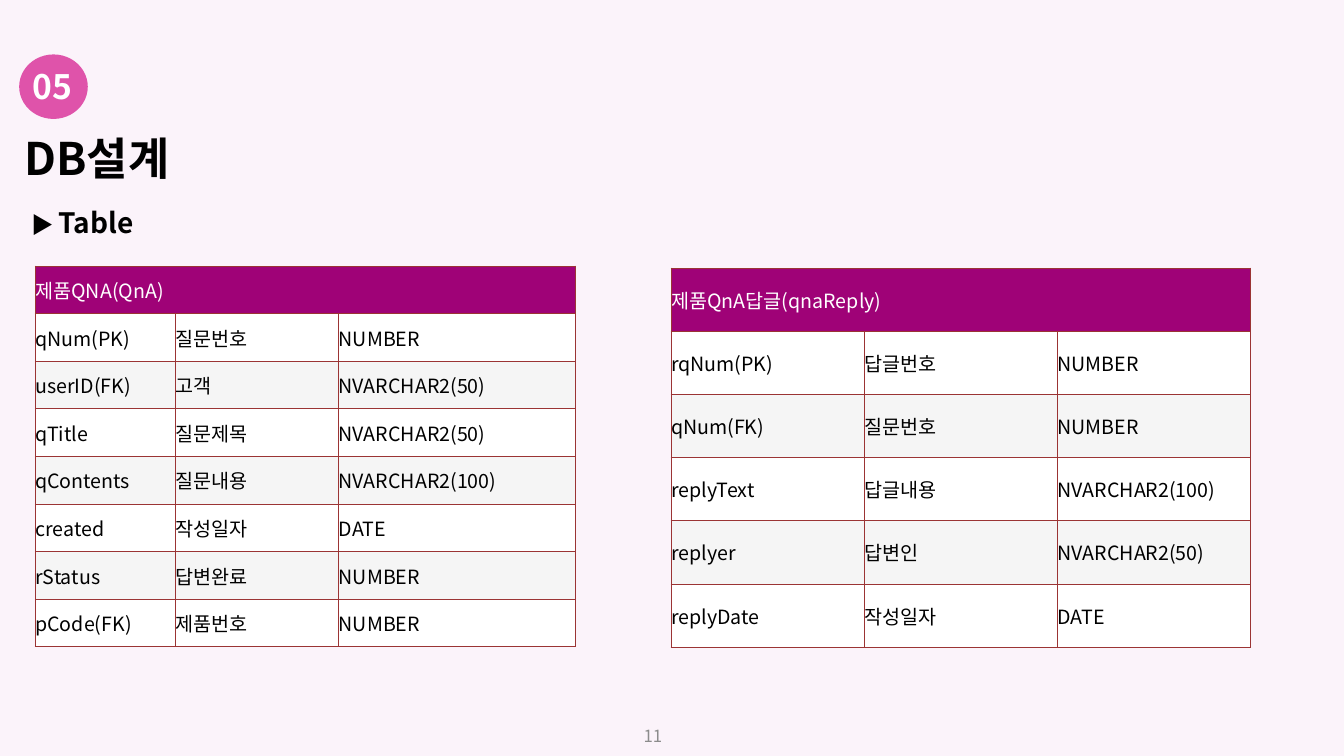
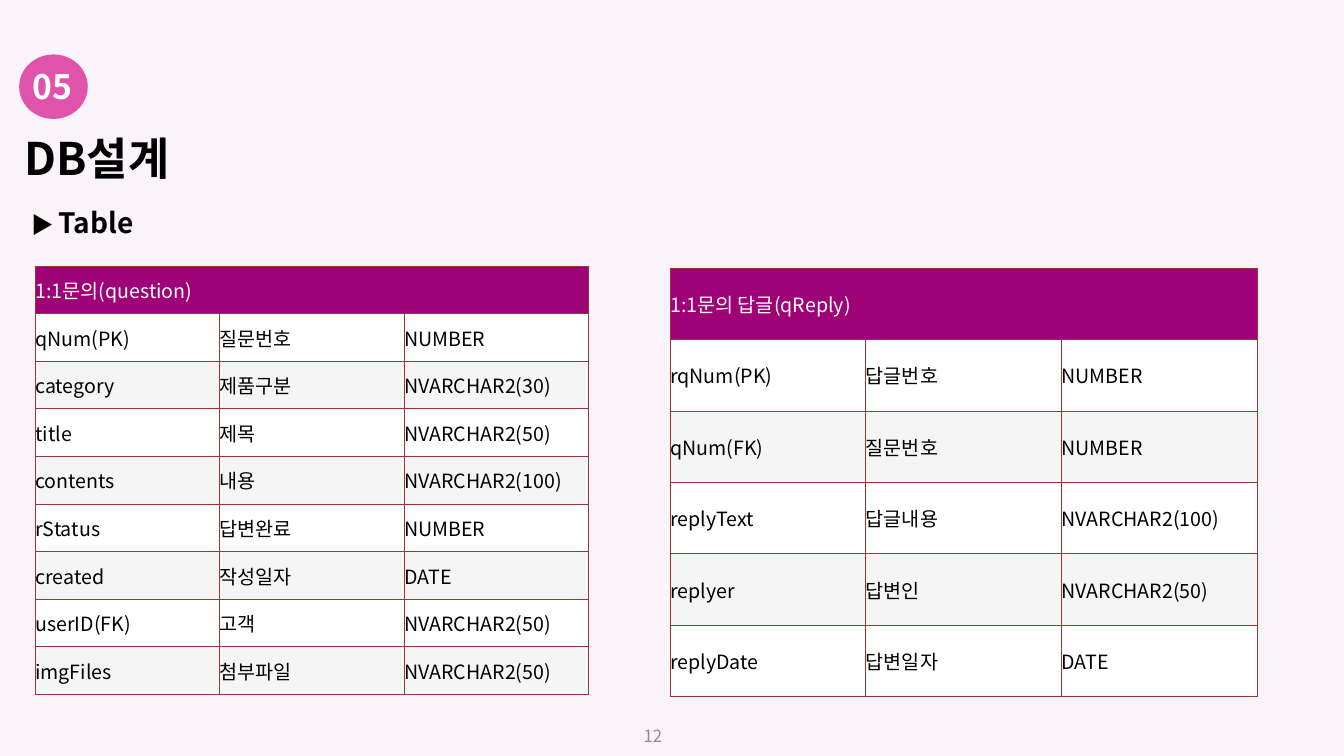
import pptx
import pptx.util
import pptx.dml.color
import pptx.enum.shapes
import pptx.enum.text
import pptx.oxml.ns
from lxml import etree

Pt = pptx.util.Pt
ALIGN = pptx.enum.text.PP_ALIGN
ANCHOR = pptx.enum.text.MSO_ANCHOR
FIT = pptx.enum.text.MSO_AUTO_SIZE
FONT = "Noto Sans CJK KR"
HUES = {
    "back": "FBF3FA", "badge": "DF53AA", "head": "9F0277", "edge": "9B3434",
    "odd": "FFFFFF", "even": "F5F5F5", "ink": "000000", "light": "FFFFFF",
    "page": "8C8C8C",
}

# Each table: box (left, top), column widths, row height, heading, rows
PAGES = [
    (11, [
        ((25.2, 190.1), (100, 116.8, 169.2), 34, "제품QNA(QnA)", [
            ("qNum(PK)", "질문번호", "NUMBER"),
            ("userID(FK)", "고객", "NVARCHAR2(50)"),
            ("qTitle", "질문제목", "NVARCHAR2(50)"),
            ("qContents", "질문내용", "NVARCHAR2(100)"),
            ("created", "작성일자", "DATE"),
            ("rStatus", "답변완료", "NUMBER"),
            ("pCode(FK)", "제품번호", "NUMBER"),
        ]),
        ((479.3, 191.5), (138.1,) * 3, 45.15, "제품QnA답글(qnaReply)", [
            ("rqNum(PK)", "답글번호", "NUMBER"),
            ("qNum(FK)", "질문번호", "NUMBER"),
            ("replyText", "답글내용", "NVARCHAR2(100)"),
            ("replyer", "답변인", "NVARCHAR2(50)"),
            ("replyDate", "작성일자", "DATE"),
        ]),
    ]),
    (12, [
        ((25.2, 190.1), (131.8,) * 3, 34, "1:1문의(question)", [
            ("qNum(PK)", "질문번호", "NUMBER"),
            ("category", "제품구분", "NVARCHAR2(30)"),
            ("title", "제목", "NVARCHAR2(50)"),
            ("contents", "내용", "NVARCHAR2(100)"),
            ("rStatus", "답변완료", "NUMBER"),
            ("created", "작성일자", "DATE"),
            ("userID(FK)", "고객", "NVARCHAR2(50)"),
            ("imgFiles", "첨부파일", "NVARCHAR2(50)"),
        ]),
        ((478.7, 191.5), (139.8,) * 3, 51.05, "1:1문의 답글(qReply)", [
            ("rqNum(PK)", "답글번호", "NUMBER"),
            ("qNum(FK)", "질문번호", "NUMBER"),
            ("replyText", "답글내용", "NVARCHAR2(100)"),
            ("replyer", "답변인", "NVARCHAR2(50)"),
            ("replyDate", "답변일자", "DATE"),
        ]),
    ]),
]


def tint(hue):
    return pptx.dml.color.RGBColor.from_string(HUES[hue])


def paint(fill, hue):
    fill.solid()
    fill.fore_color.rgb = tint(hue)


def write(para, text, size=14, hue="ink", bold=False, align=ALIGN.LEFT, lead=None):
    para.alignment = align
    if lead:
        para.line_spacing = lead
    run = para.add_run()
    run.text = text
    font = run.font
    font.size, font.bold, font.name = Pt(size), bold, FONT
    font.color.rgb = tint(hue)
    east = etree.SubElement(run._r.get_or_add_rPr(), pptx.oxml.ns.qn("a:ea"))
    east.set("typeface", FONT)


def place(shape, left, top, width, height):
    shape.left, shape.top = Pt(left), Pt(top)
    shape.width, shape.height = Pt(width), Pt(height)


def badge(slide, text, left, top, width, height):
    group = slide.shapes.add_group_shape()
    disc = group.shapes.add_shape(
        pptx.enum.shapes.MSO_SHAPE.OVAL, Pt(left), Pt(top), Pt(width), Pt(height))
    disc.shadow.inherit = False
    paint(disc.fill, "badge")
    disc.line.fill.background()
    label = group.shapes.add_textbox(
        Pt(left + 6.5), Pt(top + 7.9), Pt(width - 14.4), Pt(35.3))
    frame = label.text_frame
    frame.margin_left = frame.margin_right = 0
    frame.margin_top = frame.margin_bottom = 0
    frame.word_wrap = False
    frame.auto_size = FIT.SHAPE_TO_FIT_TEXT
    write(frame.paragraphs[0], text, size=24, hue="light", bold=True,
          align=ALIGN.CENTER)


def header(slide, title, topic):
    # Title
    head = slide.shapes.title
    place(head, 10.1, 10.1, 463.7, 126)
    head.text_frame.vertical_anchor = ANCHOR.BOTTOM
    head.text_frame.auto_size = FIT.NONE
    write(head.text_frame.paragraphs[0], title, size=32, bold=True, lead=0.9)
    # Topic line
    body = slide.placeholders[1]
    place(body, 15.1, 138.2, 485.3, 162)
    body.text_frame.auto_size = FIT.NONE
    para = body.text_frame.paragraphs[0]
    props = para._p.get_or_add_pPr()
    props.set("marL", "0")
    props.set("indent", "0")
    etree.SubElement(props, pptx.oxml.ns.qn("a:buNone"))
    para.space_before = Pt(0)
    write(para, "▶ ", size=16, lead=1.2)
    write(para, topic, size=20, bold=True)


def footer(slide, page):
    box = slide.shapes.add_textbox(Pt(264.2), Pt(511.2), Pt(216), Pt(28.8))
    box.text_frame.word_wrap = True
    box.text_frame.vertical_anchor = ANCHOR.MIDDLE
    write(box.text_frame.paragraphs[0], str(page), size=12, hue="page",
          align=ALIGN.RIGHT)


def border(cell):
    props = cell._tc.get_or_add_tcPr()
    for spot, side in enumerate(("lnL", "lnR", "lnT", "lnB")):
        line = etree.Element(pptx.oxml.ns.qn("a:" + side), w=str(Pt(0.75)))
        fill = etree.SubElement(line, pptx.oxml.ns.qn("a:solidFill"))
        etree.SubElement(fill, pptx.oxml.ns.qn("a:srgbClr"), val=HUES["edge"])
        props.insert(spot, line)


def grid(slide, spot, widths, high, name, rows):
    left, top = spot
    count = len(rows) + 1
    table = slide.shapes.add_table(
        count, len(widths), Pt(left), Pt(top),
        Pt(sum(widths)), Pt(high * count)).table
    for col, width in zip(table.columns, widths):
        col.width = Pt(width)
    for row in table.rows:
        row.height = Pt(high)
    table.cell(0, 0).merge(table.cell(0, len(widths) - 1))
    for r, texts in enumerate([(name, "", "")] + rows):
        back = "head" if r == 0 else ("odd" if r % 2 else "even")
        for c, text in enumerate(texts):
            cell = table.cell(r, c)
            paint(cell.fill, back)
            border(cell)
            cell.margin_left = cell.margin_right = 0
            cell.margin_top = cell.margin_bottom = 0
            cell.vertical_anchor = ANCHOR.MIDDLE
            if text:
                write(cell.text_frame.paragraphs[0], text,
                      hue="ink" if r else "light")


def main():
    deck = pptx.Presentation()
    deck.slide_width, deck.slide_height = Pt(960), Pt(540)
    paint(deck.slide_master.background.fill, "back")
    for page, tables in PAGES:
        slide = deck.slides.add_slide(deck.slide_layouts[1])
        badge(slide, "05", 13.7, 38.9, 49, 46.1)
        header(slide, "DB설계", "Table")
        footer(slide, page)
        for table in tables:
            grid(slide, *table)
    deck.save("out.pptx")


if __name__ == "__main__":
    main()
